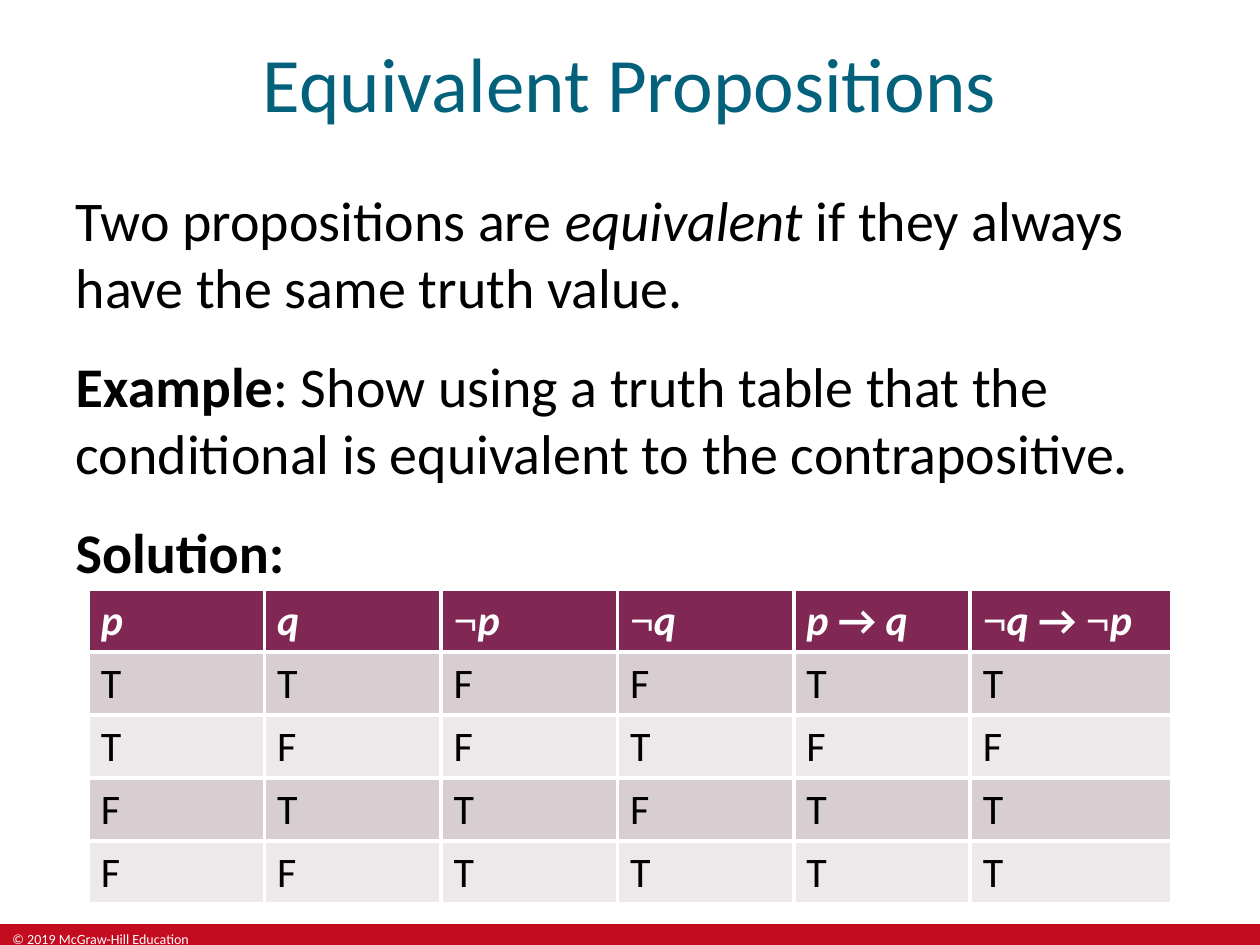
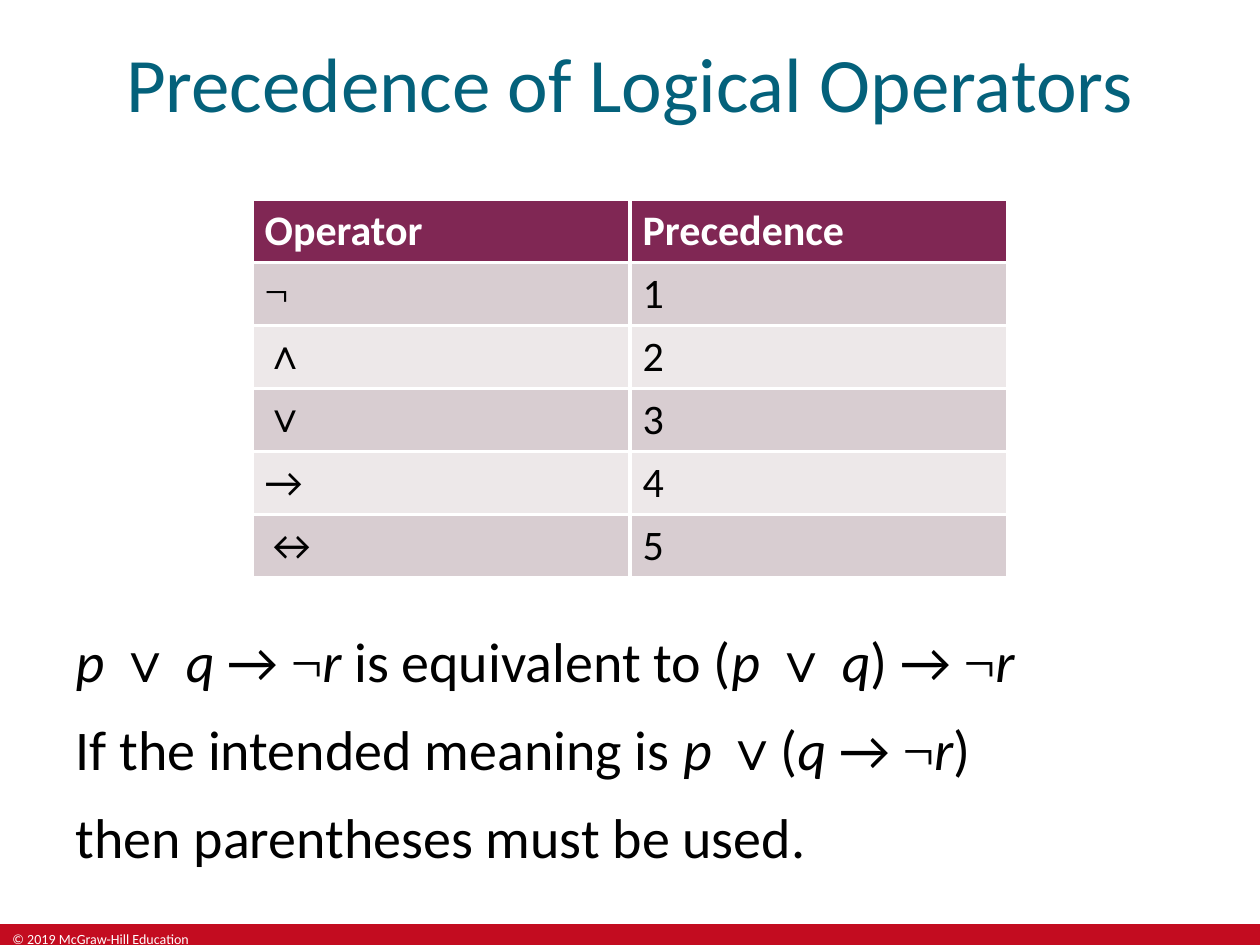
from dataclasses import dataclass
from itertools import groupby

from lxml.etree import SubElement
from pptx import Presentation
from pptx.dml.color import RGBColor
from pptx.enum.shapes import MSO_SHAPE
from pptx.enum.text import MSO_ANCHOR, MSO_AUTO_SIZE, PP_ALIGN
from pptx.oxml.ns import qn
from pptx.util import Pt


@dataclass(frozen=True)
class Theme:
    title_color: str = "04617B"
    band_color: str = "C30C20"
    header_fill: str = "802754"
    row_fills: tuple = ("D8CDD1", "EDE8E9")
    text_color: str = "000000"
    light_color: str = "FFFFFF"
    font: str = "Calibri"
    symbol_font: str = "Times New Roman"
    title_size: float = 44
    body_size: float = 32
    table_size: float = 24
    footer_size: float = 8
    border_width: float = 2.25


THEME = Theme()
SLIDE_WIDTH, SLIDE_HEIGHT = 720, 540
BAND_HEIGHT = 12
TITLE_HEIGHT = 93.6
BODY_LEFT, BODY_WIDTH = 36, 655.2
ROW_HEIGHT = 36
SYMBOLS = "¬∧∨"
FOOTER = "© 2019 McGraw-Hill Education"

# In the text below, * switches italic and | switches bold.
SLIDES = [
    {
        "title": "Equivalent Propositions",
        "body": [
            "Two propositions are *equivalent *if they always have the same truth value.",
            "|Example|: Show using a truth table that the conditional is equivalent to the contrapositive.",
            "|Solution:|",
        ],
        "body_top": 102.24,
        "body_height": 234,
        "space_before": 12,
        "table": [
            ["*p*", "*q*", "¬*p*", "¬*q*", "*p *→ *q*", "¬*q* → ¬*p*"],
            ["T", "T", "F", "F", "T", "T"],
            ["T", "F", "F", "T", "F", "F"],
            ["F", "T", "T", "F", "T", "T"],
            ["F", "F", "T", "T", "T", "T"],
        ],
        "table_top": 336.5,
        "column_widths": [100.8] * 5 + [115.2],
    },
    {
        "title": "Precedence of Logical Operators",
        "body": [
            "*p *∨ *q *→ ¬*r *is equivalent to (*p *∨ *q*) → ¬*r*",
            "If the intended meaning is *p *∨(*q *→ ¬*r*)",
            "then parentheses must be used.",
        ],
        "body_top": 354.24,
        "body_height": 144,
        "space_before": 6,
        "table": [
            ["Operator", "Precedence"],
            ["¬", "1"],
            ["∧", "2"],
            ["∨", "3"],
            ["→", "4"],
            ["↔", "5"],
        ],
        "table_top": 114,
        "column_widths": [216] * 2,
    },
]


def color(value):
    return RGBColor.from_string(value)


def style_font(font, size, value, name=THEME.font):
    font.name = name
    font.size = Pt(size)
    font.color.rgb = color(value)


def place(shape, left, top, width, height):
    shape.left, shape.top = Pt(left), Pt(top)
    shape.width, shape.height = Pt(width), Pt(height)


def styled_characters(text):
    italic = bold = False
    for character in text:
        if character == "*":
            italic = not italic
        elif character == "|":
            bold = not bold
        else:
            yield character, (italic, bold, character in SYMBOLS)


def write_formula(paragraph, text, size, value, all_bold=False):
    for style, group in groupby(styled_characters(text), key=lambda item: item[1]):
        italic, bold, symbol = style
        run = paragraph.add_run()
        run.text = "".join(character for character, _ in group)
        style_font(run.font, size, value, THEME.symbol_font if symbol else THEME.font)
        run.font.italic = italic
        run.font.bold = bold or all_bold


def add_footer(slide):
    top = SLIDE_HEIGHT - BAND_HEIGHT
    band = slide.shapes.add_shape(
        MSO_SHAPE.RECTANGLE, Pt(0), Pt(top), Pt(SLIDE_WIDTH), Pt(BAND_HEIGHT))
    band.shadow.inherit = False
    band.fill.solid()
    band.fill.fore_color.rgb = color(THEME.band_color)
    band.line.fill.background()
    box = slide.shapes.add_textbox(Pt(0), Pt(top), Pt(122.4), Pt(BAND_HEIGHT))
    box.text_frame.word_wrap = True
    box.text_frame.text = FOOTER
    style_font(box.text_frame.paragraphs[0].runs[0].font, THEME.footer_size, THEME.light_color)


def fill_title(slide, text):
    title = slide.shapes.title
    place(title, 0, 0, SLIDE_WIDTH, TITLE_HEIGHT)
    frame = title.text_frame
    frame.text = text
    frame.auto_size = MSO_AUTO_SIZE.NONE
    frame.vertical_anchor = MSO_ANCHOR.MIDDLE
    frame.paragraphs[0].alignment = PP_ALIGN.CENTER
    style_font(frame.paragraphs[0].runs[0].font, THEME.title_size, THEME.title_color)


def fill_body(slide, content):
    body = slide.placeholders[1]
    place(body, BODY_LEFT, content["body_top"], BODY_WIDTH, content["body_height"])
    frame = body.text_frame
    frame.auto_size = MSO_AUTO_SIZE.NONE
    frame.vertical_anchor = MSO_ANCHOR.TOP
    for index, text in enumerate(content["body"]):
        paragraph = frame.add_paragraph() if index else frame.paragraphs[0]
        properties = paragraph._p.get_or_add_pPr()
        properties.set("marL", "0")
        properties.set("indent", "0")
        SubElement(properties, qn("a:buNone"))
        paragraph.space_before = Pt(content["space_before"] if index else 0)
        paragraph.space_after = Pt(6)
        write_formula(paragraph, text, THEME.body_size, THEME.text_color)


def add_borders(cell):
    properties = cell._tc.get_or_add_tcPr()
    for side in ("lnL", "lnR", "lnT", "lnB"):
        line = SubElement(properties, qn(f"a:{side}"), w=str(Pt(THEME.border_width)))
        fill = SubElement(line, qn("a:solidFill"))
        SubElement(fill, qn("a:srgbClr"), val=THEME.light_color)


def add_truth_table(slide, content):
    rows, widths = content["table"], content["column_widths"]
    left = (SLIDE_WIDTH - sum(widths)) / 2
    table = slide.shapes.add_table(
        len(rows), len(widths), Pt(left), Pt(content["table_top"]),
        Pt(sum(widths)), Pt(ROW_HEIGHT * len(rows))).table
    for column, width in zip(table.columns, widths):
        column.width = Pt(width)
    for row_index, row in enumerate(rows):
        table.rows[row_index].height = Pt(ROW_HEIGHT)
        header = row_index == 0
        row_fill = THEME.header_fill if header else THEME.row_fills[(row_index - 1) % 2]
        text_color = THEME.light_color if header else THEME.text_color
        for column_index, text in enumerate(row):
            cell = table.cell(row_index, column_index)
            add_borders(cell)
            cell.fill.solid()
            cell.fill.fore_color.rgb = color(row_fill)
            write_formula(cell.text_frame.paragraphs[0], text,
                          THEME.table_size, text_color, header)


def main():
    presentation = Presentation()
    presentation.slide_width = Pt(SLIDE_WIDTH)
    presentation.slide_height = Pt(SLIDE_HEIGHT)
    for content in SLIDES:
        slide = presentation.slides.add_slide(presentation.slide_layouts[1])
        add_footer(slide)
        fill_title(slide, content["title"])
        fill_body(slide, content)
        add_truth_table(slide, content)
    presentation.save("out.pptx")


if __name__ == "__main__":
    main()
